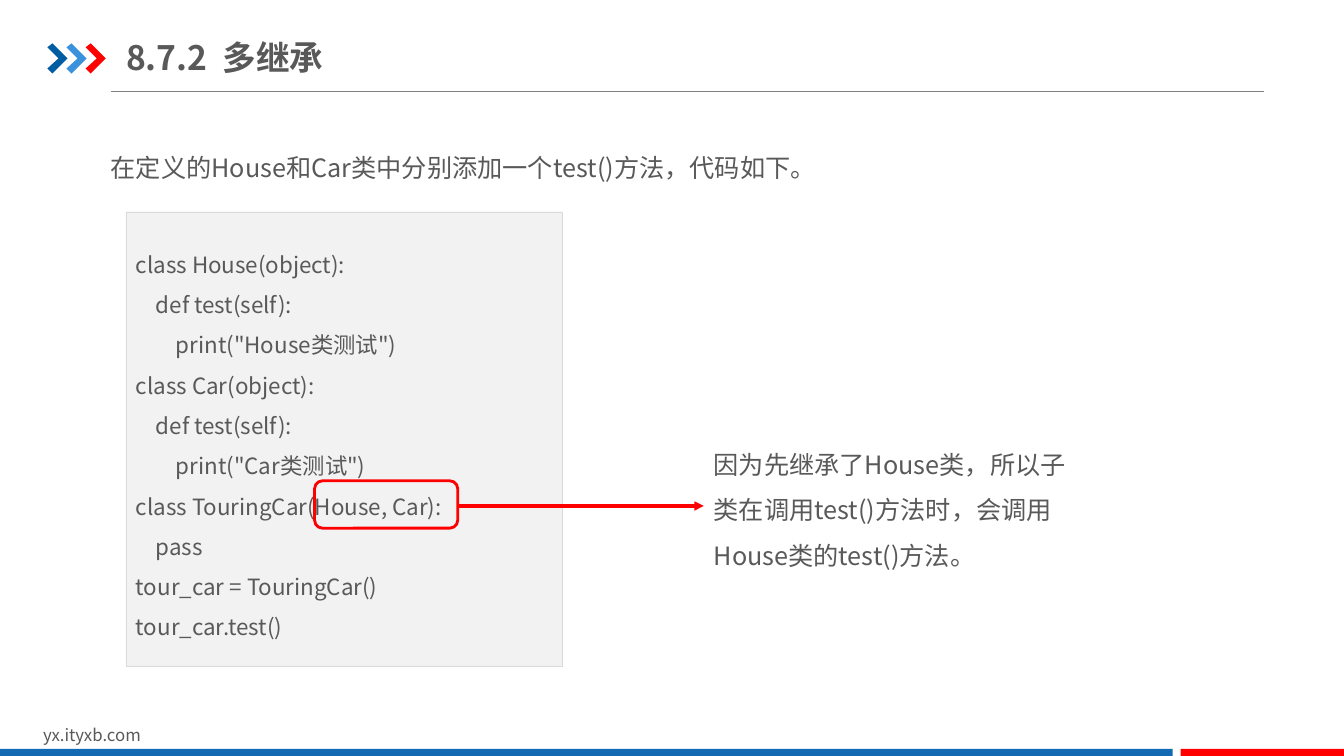
from lxml import etree
from pptx import Presentation
from pptx.dml.color import RGBColor
from pptx.enum.shapes import MSO_CONNECTOR, MSO_SHAPE
from pptx.enum.text import MSO_ANCHOR, PP_ALIGN
from pptx.oxml.ns import qn
from pptx.util import Inches, Pt

STRAIGHT = MSO_CONNECTOR.STRAIGHT
RECTANGLE = MSO_SHAPE.RECTANGLE
ROUNDED = MSO_SHAPE.ROUNDED_RECTANGLE
TOP, MIDDLE = MSO_ANCHOR.TOP, MSO_ANCHOR.MIDDLE
LEFT = PP_ALIGN.LEFT

FONT = "Noto Sans CJK SC"
COLORS = {
    "text": "595959",
    "rule": "808080",
    "navy": "005DA2",
    "sky": "3992DB",
    "red": "FF0000",
    "footer": "1369B2",
    "code_fill": "F2F2F2",
    "code_line": "D9D9D9",
}
CHEVRON = [(0, 4), (5, 0), (20, 15), (5, 30), (0, 25), (11, 15)]
CODE = """class House(object):
    def test(self):
        print("House类测试")
class Car(object):
    def test(self):
        print("Car类测试")
class TouringCar(House, Car):
    pass
tour_car = TouringCar()
tour_car.test()"""


def color(name):
    return RGBColor.from_string(COLORS[name])


def write(shape, text, size, bold=False, spacing=None, anchor=TOP):
    frame = shape.text_frame
    frame.word_wrap = True
    frame.vertical_anchor = anchor
    frame.text = text
    for paragraph in frame.paragraphs:
        paragraph.alignment = LEFT
        paragraph.line_spacing = spacing
        font = paragraph.font
        font.size = Pt(size)
        font.bold = bold
        font.color.rgb = color("text")
        font.name = FONT
        properties = paragraph._p.pPr.find(qn("a:defRPr"))
        etree.SubElement(properties, qn("a:ea"), typeface=FONT)


def add_text(slide, box, text, size, **style):
    shape = slide.shapes.add_textbox(*map(Inches, box))
    write(shape, text, size, **style)
    return shape


def paint(shape, fill=None, line=None, width=1):
    shape.shadow.inherit = False
    if fill:
        shape.fill.solid()
        shape.fill.fore_color.rgb = color(fill)
    else:
        shape.fill.background()
    if line:
        shape.line.color.rgb = color(line)
        shape.line.width = Pt(width)
    else:
        shape.line.fill.background()


def add_box(slide, kind, box, **style):
    shape = slide.shapes.add_shape(kind, *map(Inches, box))
    paint(shape, **style)
    return shape


def add_line(slide, left, right, y, name, width, arrow=False):
    line = slide.shapes.add_connector(
        STRAIGHT, Inches(left), Inches(y), Inches(right), Inches(y))
    line.line.color.rgb = color(name)
    line.line.width = Pt(width)
    if arrow:
        etree.SubElement(line.line._get_or_add_ln(), qn("a:tailEnd"), type="triangle")
    etree.SubElement(line._element.spPr, qn("a:effectLst"))


def add_header(slide, left, top, width, title):
    for index, name in enumerate(("navy", "sky", "red")):
        builder = slide.shapes.build_freeform(*CHEVRON[0], scale=Inches(0.01))
        builder.add_line_segments(CHEVRON[1:], close=True)
        chevron = builder.convert_to_shape(
            Inches(left + 0.19 * index), Inches(top + 0.14))
        paint(chevron, fill=name)
    add_line(slide, left + 0.63, left + width, top + 0.62, "rule", 0.75)
    heading = add_text(slide, (left + 0.78, top, 5.02, 0.55), title, 24,
                       bold=True, anchor=MIDDLE)
    frame = heading.text_frame
    frame.margin_left = frame.margin_right = 0
    frame.margin_top = frame.margin_bottom = Inches(0.07)


def add_footer(slide, top, width, address):
    blue_width, gap, height = 11.63, 0.08, 0.09
    red_left = blue_width + gap
    add_text(slide, (0.33, top - 0.29, 3.18, 0.3), address, 12)
    add_box(slide, RECTANGLE, (0, top, blue_width, height), fill="footer")
    add_box(slide, RECTANGLE, (red_left, top, width - red_left, height), fill="red")


def add_code(slide, left, top, width, height):
    panel = add_box(slide, RECTANGLE, (left, top, width, height),
                    fill="code_fill", line="code_line", width=0.25)
    write(panel, CODE, 16, spacing=1.5, anchor=MIDDLE)


def add_callout(slide, left, top, width, height, note_left, note):
    add_box(slide, ROUNDED, (left, top, width, height), line="red", width=2)
    add_text(slide, (note_left, top - 0.51, 3.78, 1.5), note, 18, spacing=1.5)
    add_line(slide, left + width, note_left, top + 0.25, "red", 2.25, arrow=True)


def main():
    presentation = Presentation()
    presentation.slide_width = Inches(13.33)
    presentation.slide_height = Inches(7.5)
    slide = presentation.slides.add_slide(presentation.slide_layouts[6])
    add_header(slide, 0.47, 0.29, 12.07, "8.7.2  多继承")
    add_footer(slide, 7.43, 13.33, "yx.ityxb.com")
    add_text(slide, (1, 1.31, 11.02, 0.55),
             "在定义的House和Car类中分别添加一个test()方法，代码如下。", 18, spacing=1.5)
    add_code(slide, 1.25, 2.1, 4.33, 4.51)
    add_callout(slide, 3.12, 4.77, 1.42, 0.47, 6.98,
                "因为先继承了House类，所以子类在调用test()方法时，会调用House类的test()方法。")
    presentation.save("out.pptx")


if __name__ == "__main__":
    main()
